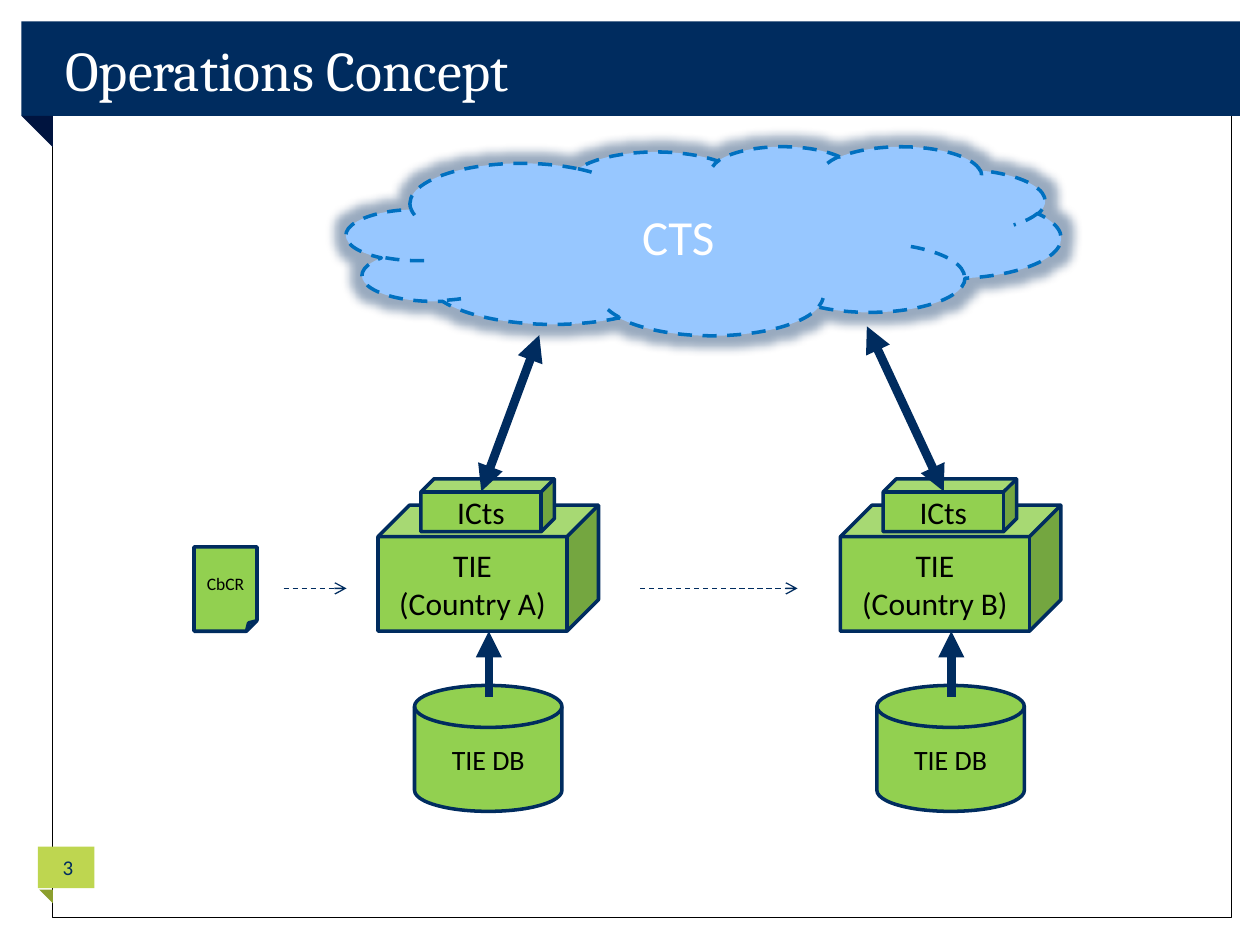
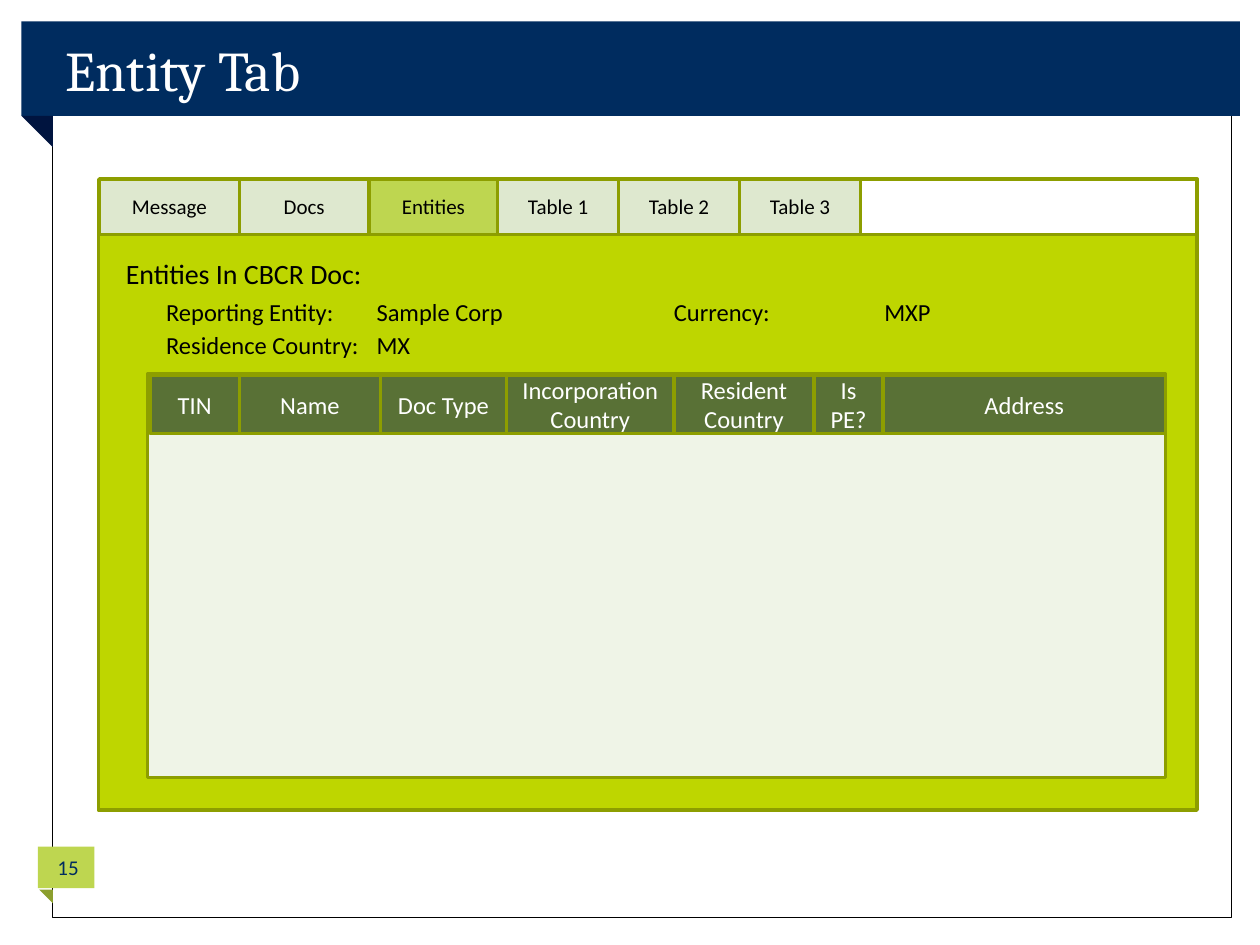
from dataclasses import dataclass

from lxml import etree
from pptx import Presentation
from pptx import util as u
from pptx.dml.color import RGBColor
from pptx.enum import dml, shapes, text
from pptx.oxml import ns

SHAPE = shapes.MSO_SHAPE
ALIGN = text.PP_ALIGN
ANCHOR = text.MSO_ANCHOR


@dataclass(frozen=True)
class Theme:
    navy: str = "002C5F"
    navy_fold: str = "00143F"
    lime: str = "BED650"
    lime_fold: str = "8C9F2E"
    node: str = "92D050"
    cloud: str = "97C7FF"
    cloud_edge: str = "0070C0"
    panel: str = "BED600"
    panel_edge: str = "8D9E00"
    tab: str = "DEE8CF"
    column: str = "597136"
    records: str = "EFF4E7"
    white: str = "FFFFFF"
    black: str = "000000"
    heading_font: str = "Cambria"
    body_font: str = "Calibri"
    title: int = 32
    cloud_label: int = 28
    node_label: int = 18
    subhead: int = 16
    detail: int = 14
    small: int = 12
    tiny: int = 10


THEME = Theme()


def rgb(value):
    return RGBColor.from_string(value)


def inches(*lengths):
    return [u.Inches(length) for length in lengths]


def add_xml(parent, tag, **attributes):
    return etree.SubElement(parent, ns.qn(tag), attributes)


def write(shape, content, size=THEME.small, color=THEME.black,
          font=THEME.body_font, align=ALIGN.CENTER, anchor=ANCHOR.MIDDLE,
          inset=0.1, wrap=True, tab=None):
    frame = shape.text_frame
    frame.word_wrap = wrap
    frame.vertical_anchor = anchor
    frame.margin_left = frame.margin_right = u.Inches(inset)
    frame.text = content
    for paragraph in frame.paragraphs:
        paragraph.alignment = align
        paragraph.font.size = u.Pt(size)
        paragraph.font.name = font
        paragraph.font.color.rgb = rgb(color)
        if tab:
            stops = etree.Element(ns.qn("a:tabLst"))
            add_xml(stops, "a:tab", pos=str(u.Inches(tab)), algn="l")
            paragraph.font._element.addprevious(stops)
    return shape


def textbox(slide, box, content, **style):
    return write(slide.shapes.add_textbox(*inches(*box)), content, **style)


def block(slide, kind, box, fill=None, edge=None, weight=2, label=None, **style):
    shape = slide.shapes.add_shape(kind, *inches(*box))
    shape.shadow.inherit = False
    if fill:
        shape.fill.solid()
        shape.fill.fore_color.rgb = rgb(fill)
    else:
        shape.fill.background()
    if edge:
        shape.line.color.rgb = rgb(edge)
        shape.line.width = u.Pt(weight)
    else:
        shape.line.fill.background()
    if label:
        write(shape, label, **style)
    return shape


def arrow(slide, start, end, weight=5, dashed=False, tip="triangle", both=False):
    link = slide.shapes.add_connector(
        shapes.MSO_CONNECTOR.STRAIGHT, *inches(*start, *end))
    link.line.color.rgb = rgb(THEME.navy)
    link.line.width = u.Pt(weight)
    if dashed:
        link.line.dash_style = dml.MSO_LINE.DASH
    outline = link.line._get_or_add_ln()
    if both:
        add_xml(outline, "a:headEnd", type=tip)
    add_xml(outline, "a:tailEnd", type=tip)
    add_xml(link._element.spPr, "a:effectLst")


def folded_band(slide, box, fill, fold_box, fold_fill):
    block(slide, SHAPE.RECTANGLE, box, fill)
    block(slide, SHAPE.RIGHT_TRIANGLE, fold_box, fold_fill).rotation = 180


def framed_slide(deck, title, number):
    slide = deck.slides.add_slide(deck.slide_layouts[6])
    block(slide, SHAPE.RECTANGLE, (0.42, 0.5, 9.35, 6.78),
          edge=THEME.black, weight=0.5)
    folded_band(slide, (0.17, 0.17, 9.67, 0.75), THEME.navy,
                (0.17, 0.92, 0.25, 0.25), THEME.navy_fold)
    folded_band(slide, (0.3, 6.72, 0.45, 0.33), THEME.lime,
                (0.31, 7.06, 0.11, 0.11), THEME.lime_fold)
    textbox(slide, (0.42, 0.17, 9.25, 0.75), title, size=THEME.title,
            color=THEME.white, font=THEME.heading_font, align=ALIGN.LEFT)
    textbox(slide, (0.33, 6.68, 0.42, 0.4), str(number), color=THEME.navy)
    return slide


def exchange_cloud(slide, box, label):
    cloud = block(slide, SHAPE.CLOUD, box, THEME.cloud, THEME.cloud_edge,
                  label=label, size=THEME.cloud_label, color=THEME.white)
    cloud.line.dash_style = dml.MSO_LINE.DASH
    effects = cloud._element.spPr.find(ns.qn("a:effectLst"))
    glow = add_xml(effects, "a:glow", rad=str(u.Pt(11)))
    tint = add_xml(glow, "a:srgbClr", val=THEME.navy)
    add_xml(tint, "a:alpha", val="40000")


def country_system(slide, left, top, country, cloud_point):
    look = dict(fill=THEME.node, edge=THEME.navy)
    middle = left + 0.88
    block(slide, SHAPE.FLOWCHART_MAGNETIC_DISK, (left + 0.29, top + 1.64, 1.17, 1),
          label="TIE DB", size=THEME.subhead, **look)
    block(slide, SHAPE.CUBE, (left, top + 0.21, 1.75, 1),
          label=f"TIE\n({country})", size=THEME.node_label, **look)
    arrow(slide, (middle, top + 1.73), (middle, top + 1.21))
    block(slide, SHAPE.CUBE, (left + 0.34, top, 1.06, 0.42),
          label="ICts", size=THEME.node_label, **look)
    arrow(slide, (left + 0.82, top + 0.1), cloud_point, both=True)


def operations_slide(deck):
    slide = framed_slide(deck, "Operations Concept", 3)
    exchange_cloud(slide, (2.75, 1.16, 5.67, 1.5), "CTS")
    country_system(slide, 3, 3.8, "Country A", (4.28, 2.66))
    country_system(slide, 6.67, 3.8, "Country B", (6.88, 2.59))
    block(slide, SHAPE.FOLDED_CORNER, (1.54, 4.34, 0.5, 0.67), THEME.node,
          THEME.navy, label="CbCR", size=THEME.tiny, inset=0.05)
    for start, end in ((2.25, 2.75), (5.08, 6.33)):
        arrow(slide, (start, 4.67), (end, 4.67), weight=0.75, dashed=True, tip="arrow")


def cell_row(slide, left, top, height, cells, fill, active=None, **style):
    for label, width in cells:
        block(slide, SHAPE.RECTANGLE, (left, top, width, height),
              THEME.lime if label == active else fill, THEME.panel_edge,
              label=label, **style)
        left += width


def tab_strip(slide, left, top, width):
    tabs = (("Message", 1.11), ("Docs", 1.03), ("Entities", 1.02),
            ("Table 1", 0.96), ("Table 2", 0.96), ("Table 3", 0.96))
    used = sum(tab_width for _, tab_width in tabs)
    block(slide, SHAPE.RECTANGLE, (left + used, top, width - used, 0.44),
          THEME.white, THEME.panel_edge)
    cell_row(slide, left, top, 0.44, tabs, THEME.tab, active="Entities")


def entity_details(slide, left, top):
    plain = dict(align=ALIGN.LEFT, anchor=ANCHOR.TOP)
    textbox(slide, (left, top, 2.1, 0.37), "Entities In CBCR Doc:",
            size=THEME.subhead, wrap=False, **plain)
    details = (("Reporting Entity:", "Sample Corp", 0.32, 0.32),
               ("Currency:", "MXP", 4.35, 0.32),
               ("Residence Country:", "MX", 0.32, 0.58))
    for name, value, across, down in details:
        textbox(slide, (left + across, top + down, 3.23, 0.34),
                f"{name}\t{value}", size=THEME.detail, tab=1.67, **plain)


def entity_grid(slide, left, top, width, height):
    columns = (("TIN", 0.71), ("Name", 1.12), ("Doc Type", 1),
               ("Incorporation Country", 1.33), ("Resident Country", 1.11),
               ("Is PE?", 0.55), ("Address", 2.24))
    block(slide, SHAPE.RECTANGLE, (left, top, width, height),
          THEME.records, THEME.panel_edge)
    cell_row(slide, left + 0.02, top + 0.01, 0.46, columns, THEME.column,
             size=THEME.detail, color=THEME.white)


def entity_slide(deck):
    slide = framed_slide(deck, "Entity Tab", 15)
    block(slide, SHAPE.RECTANGLE, (0.78, 1.43, 8.72, 5),
          THEME.panel, THEME.panel_edge)
    tab_strip(slide, 0.79, 1.42, 8.71)
    entity_details(slide, 0.9, 1.99)
    entity_grid(slide, 1.17, 2.97, 8.08, 3.2)


deck = Presentation()
deck.slide_width, deck.slide_height = inches(10, 7.5)
operations_slide(deck)
entity_slide(deck)
deck.save("out.pptx")
